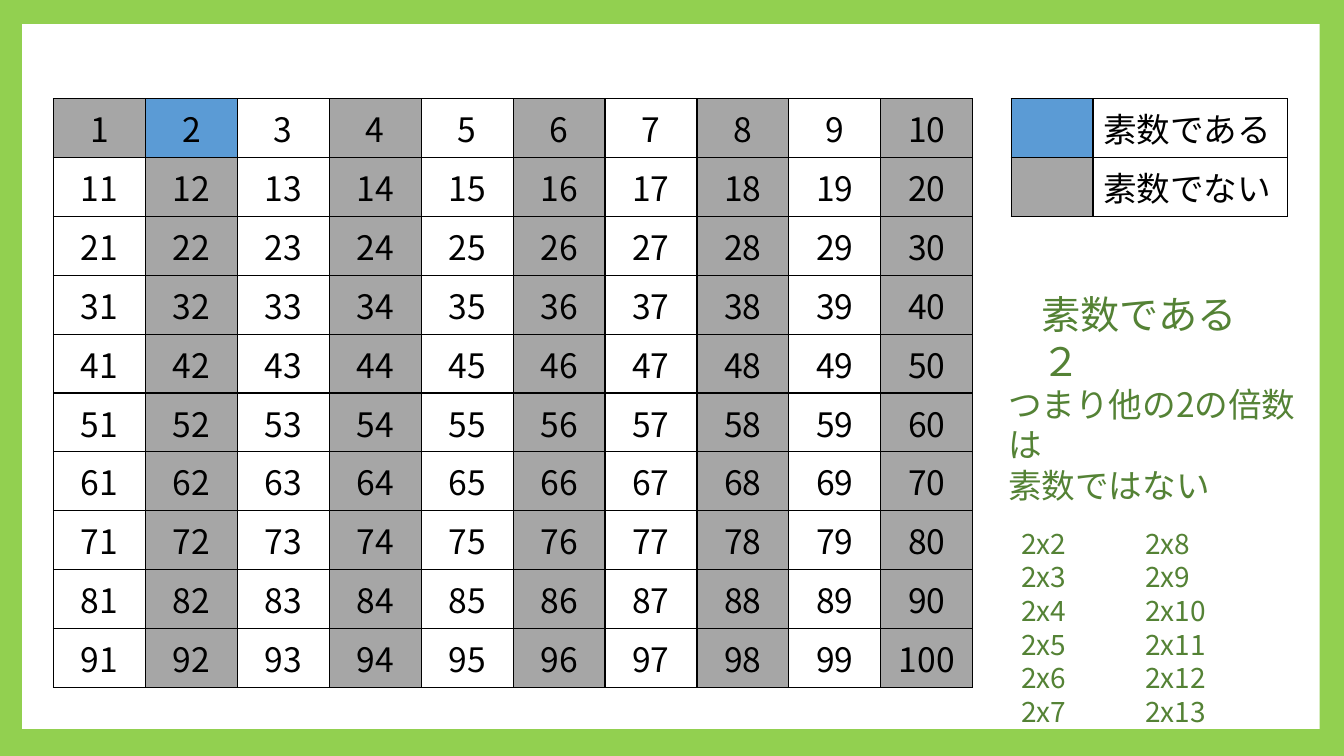
from dataclasses import dataclass

from lxml import etree
from pptx import Presentation
from pptx.dml.color import RGBColor
from pptx.enum.shapes import MSO_SHAPE
from pptx.enum.text import MSO_ANCHOR, PP_ALIGN
from pptx.oxml.ns import qn
from pptx.util import Inches, Pt

RECTANGLE = MSO_SHAPE.RECTANGLE
MIDDLE = MSO_ANCHOR.MIDDLE
LEFT = PP_ALIGN.LEFT
CENTER = PP_ALIGN.CENTER


@dataclass(frozen=True)
class Theme:
    font: str = "Noto Sans CJK JP"
    frame: str = "92D050"
    panel: str = "FFFFFF"
    prime: str = "5B9BD5"
    composite: str = "A6A6A6"
    ink: str = "000000"
    note: str = "548235"
    heading_size: int = 28
    text_size: int = 24
    list_size: int = 20
    line_height: float = 1.2
    border_width: int = 1


THEME = Theme()
GRID_SIDE = 10
ROW_HEIGHT = 0.584
SIEVE_PRIME = 2


def add_run(paragraph, text, size, color):
    run = paragraph.add_run()
    run.text = text
    run.font.name = THEME.font
    run.font.size = Pt(size)
    run.font.color.rgb = RGBColor.from_string(color)
    east_asian = etree.SubElement(run.font._element, qn("a:ea"))
    east_asian.set("typeface", THEME.font)


def add_borders(cell):
    properties = cell._tc.get_or_add_tcPr()
    for side in ("lnL", "lnR", "lnT", "lnB"):
        line = etree.SubElement(properties, qn(f"a:{side}"))
        line.set("w", str(Pt(THEME.border_width)))
        fill = etree.SubElement(line, qn("a:solidFill"))
        etree.SubElement(fill, qn("a:srgbClr")).set("val", THEME.ink)


def format_cell(cell, text, color, alignment):
    add_borders(cell)
    cell.fill.solid()
    cell.fill.fore_color.rgb = RGBColor.from_string(color)
    cell.vertical_anchor = MIDDLE
    paragraph = cell.text_frame.paragraphs[0]
    paragraph.alignment = alignment
    if text:
        add_run(paragraph, text, THEME.text_size, THEME.ink)


def add_table(slide, left, top, widths, rows, alignment):
    table = slide.shapes.add_table(
        len(rows), len(widths), Inches(left), Inches(top),
        Inches(sum(widths)), Inches(ROW_HEIGHT * len(rows)),
    ).table
    for column, width in zip(table.columns, widths):
        column.width = Inches(width)
    for row, contents in zip(table.rows, rows):
        row.height = Inches(ROW_HEIGHT)
        for cell, (text, color) in zip(row.cells, contents):
            format_cell(cell, text, color, alignment)


def add_text(slide, left, top, width, height, lines, size):
    shape = slide.shapes.add_textbox(Inches(left), Inches(top), Inches(width), Inches(height))
    frame = shape.text_frame
    frame.word_wrap = True
    frame.margin_top = Inches(0.08)
    for index, line in enumerate(lines):
        paragraph = frame.paragraphs[0] if index == 0 else frame.add_paragraph()
        paragraph.line_spacing = Pt(size * THEME.line_height)
        add_run(paragraph, line, size, THEME.note)


def add_panel(slide):
    slide.background.fill.solid()
    slide.background.fill.fore_color.rgb = RGBColor.from_string(THEME.frame)
    panel = slide.shapes.add_shape(
        RECTANGLE, Inches(0.22), Inches(0.24), Inches(12.87), Inches(6.99))
    panel.shadow.inherit = False
    panel.fill.solid()
    panel.fill.fore_color.rgb = RGBColor.from_string(THEME.panel)
    panel.line.fill.background()


def number_color(number):
    if number == SIEVE_PRIME:
        return THEME.prime
    if number == 1 or number % SIEVE_PRIME == 0:
        return THEME.composite
    return THEME.panel


def add_number_grid(slide):
    rows = [
        [(str(number), number_color(number)) for number in range(start, start + GRID_SIDE)]
        for start in range(1, GRID_SIDE ** 2, GRID_SIDE)
    ]
    add_table(slide, 0.53, 0.98, [0.912] * GRID_SIDE, rows, CENTER)


def add_legend(slide):
    rows = [
        [("", THEME.prime), ("素数である", THEME.panel)],
        [("", THEME.composite), ("素数でない", THEME.panel)],
    ]
    add_table(slide, 10.03, 0.98, [0.81, 1.93], rows, LEFT)


def add_products(slide, left, width, factors):
    lines = [f"{SIEVE_PRIME}x{factor}" for factor in factors]
    add_text(slide, left, 5.14, width, 2.12, lines, THEME.list_size)


def main():
    presentation = Presentation()
    presentation.slide_width = Inches(13.33)
    presentation.slide_height = Inches(7.5)
    slide = presentation.slides.add_slide(presentation.slide_layouts[6])
    add_panel(slide)
    add_number_grid(slide)
    add_legend(slide)
    add_text(slide, 10.23, 2.8, 2.36, 0.57, ["素数である２"], THEME.heading_size)
    add_text(slide, 9.9, 3.73, 3.29, 0.91,
             ["つまり他の2の倍数は", "素数ではない"], THEME.text_size)
    add_products(slide, 10.03, 0.84, range(2, 8))
    add_products(slide, 11.26, 0.95, range(8, 14))
    presentation.save("out.pptx")


if __name__ == "__main__":
    main()
